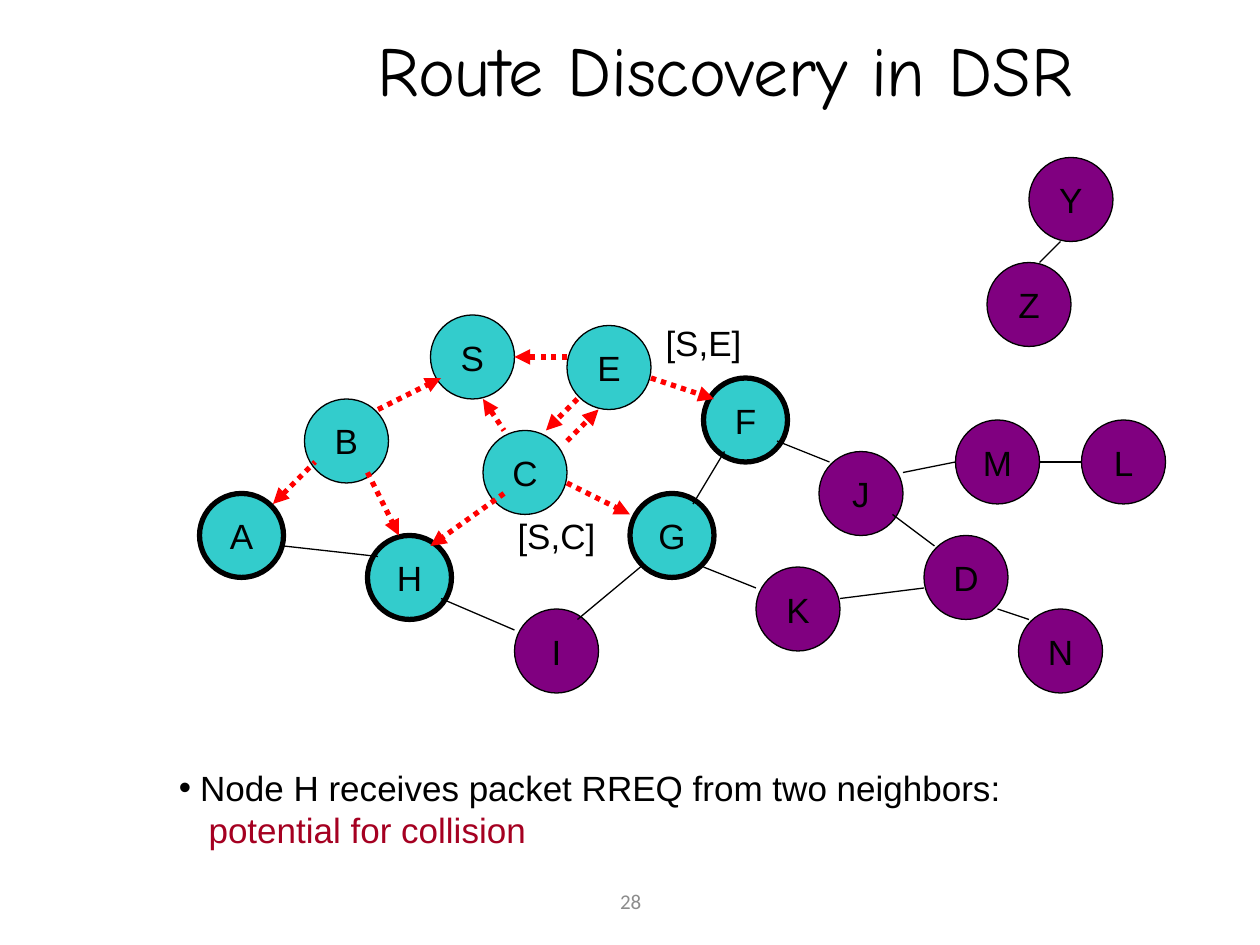
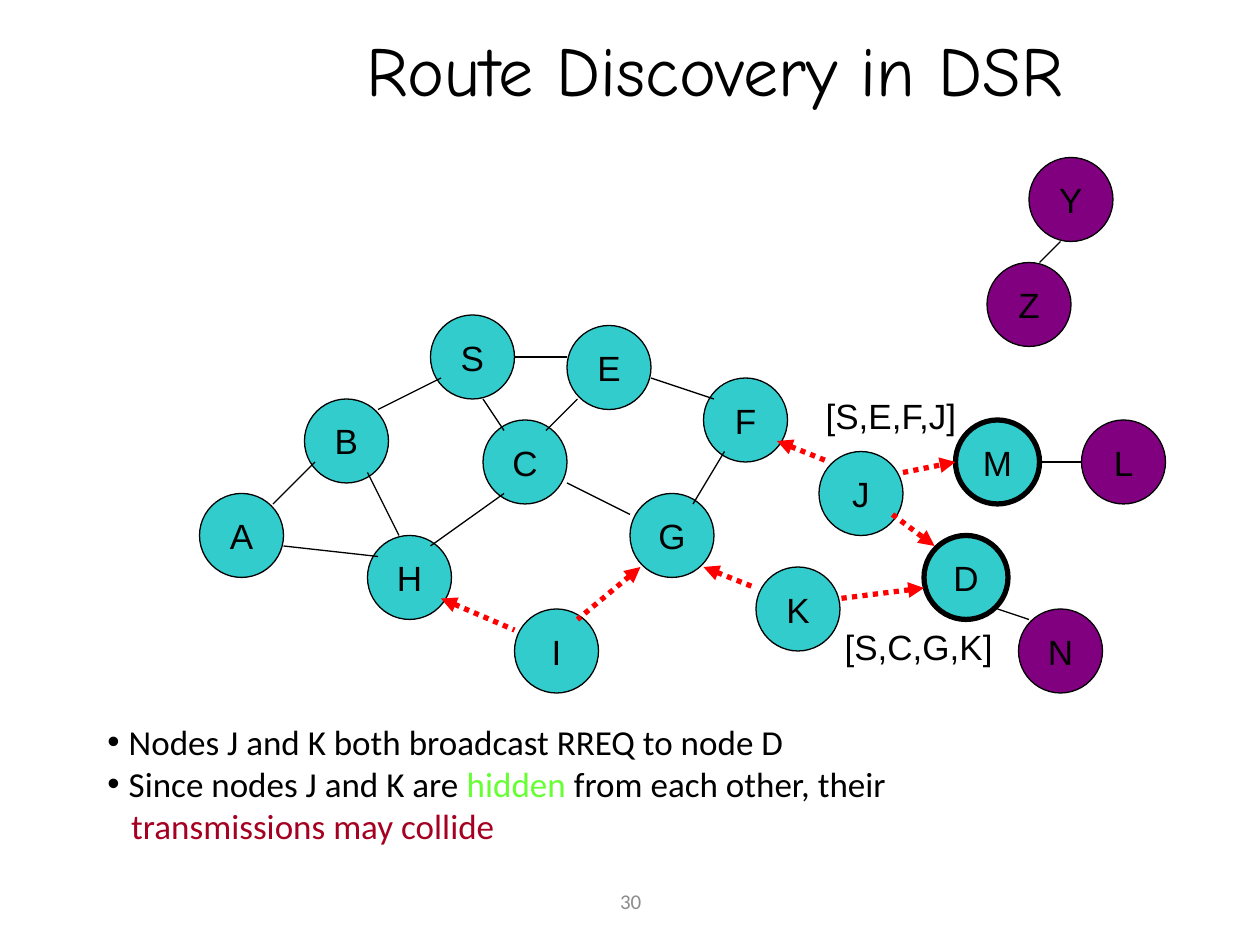
from pptx import Presentation
from pptx.dml.color import RGBColor
from pptx.enum.dml import MSO_LINE
from pptx.enum.shapes import MSO_CONNECTOR, MSO_SHAPE
from pptx.enum.text import MSO_ANCHOR, MSO_AUTO_SIZE, PP_ALIGN
from pptx.oxml.ns import qn
from pptx.util import Cm, Pt
from lxml.etree import SubElement

STEP = 2.54 / 12
BLACK, RED, WINE, LIME = "000000", "FF0000", "A50021", "66FF33"
TEAL, PURPLE, GRAY = "33CCCC", "800080", "8C8C8C"
tint = RGBColor.from_string


def grid(*steps):
    return [Cm(n * STEP) for n in steps]


def write(shape, text, font="Arial", size=20, color=BLACK, align=PP_ALIGN.CENTER, wrap=False):
    frame = shape.text_frame
    frame.word_wrap = wrap
    frame.auto_size = MSO_AUTO_SIZE.NONE
    frame.vertical_anchor = MSO_ANCHOR.MIDDLE
    rows = [[(text, color)]] if isinstance(text, str) else text
    for i, row in enumerate(rows):
        para = frame.add_paragraph() if i else frame.paragraphs[0]
        para.alignment = align
        para.space_before = Pt(0)
        for words, shade in row:
            run = para.add_run()
            run.text = words
            run.font.name = font
            run.font.size = Pt(size)
            run.font.color.rgb = tint(shade)


nodes = {
    "B": (29, 38), "A": (19, 47), "S": (41, 30), "E": (54, 31), "F": (67, 36),
    "H": (35, 51), "J": (78, 43), "D": (88, 51), "C": (46, 41), "G": (60, 47),
    "I": (49, 58), "K": (72, 54), "Z": (94, 25), "Y": (98, 15), "M": (91, 40),
    "N": (97, 58), "L": (103, 40),
}
links = {
    "AB": (26, 48, 30, 44), "BS": (36, 39, 42, 36), "AH": (27, 52, 36, 53),
    "BH": (35, 45, 38, 51), "CH": (48, 47, 41, 52), "EC": (55, 38, 52, 41),
    "EF": (62, 36, 68, 38), "FG": (69, 43, 66, 48), "GI": (61, 54, 55, 59),
    "CG": (54, 46, 60, 49), "HI": (42, 57, 49, 60), "FJ": (74, 42, 79, 44),
    "GK": (67, 54, 72, 56), "JD": (85, 49, 89, 52), "DK": (88, 56, 80, 57),
    "ES": (54, 34, 49, 34), "SC": (46, 38, 48, 41), "CE": (54, 42, 57, 39),
    "YZ": (101, 23, 99, 25), "JM": (86, 45, 91, 44), "DN": (95, 58, 98, 59),
    "ML": (99, 44, 103, 44),
}
pages = [
    dict(
        page="28", left=5.54, reached="SBECAFHG", bold="AFHG", moved={}, skip="",
        sends="BS BH BA CH CG CS CE EC EF ES".split(),
        tags=[("[S,E]", 62, 30, 10), ("[S,C]", 48, 48.4, 10)],
        box=(3.35, 15.32, 18.11, 1.96), font="Arial", hang=0.43, inset=0.6,
        rows=[
            [("Node H receives packet RREQ from two neighbors:", BLACK)],
            [("potential for collision", WINE)],
        ],
    ),
    dict(
        page="30", left=5.33, reached="SBECAFHGJDIKM", bold="DM", moved={"C": (46, 40)}, skip="CE",
        sends="IG IH JF JD JM KG KD".split(),
        tags=[("[S,C,G,K]", 79, 59, 17), ("[S,E,F,J]", 77, 37, 15.7)],
        box=(1.91, 14.4, 20.22, 2.79), font="Calibri", hang=0.43, inset=0.48,
        rows=[
            [("Nodes J and K both broadcast RREQ to node D", BLACK)],
            [("Since nodes J and K are ", BLACK), ("hidden ", LIME),
             ("from each other, their", BLACK)],
            [("transmissions may collide", WINE)],
        ],
    ),
]

deck = Presentation()
deck.slide_width, deck.slide_height = Cm(25.4), Cm(19.05)

for data in pages:
    slide = deck.slides.add_slide(deck.slide_layouts[1])
    shapes = slide.shapes
    title, body = shapes.title, slide.placeholders[1]

    title.left, title.top, title.width, title.height = map(Cm, (data["left"], -0.2, 18.16, 3.18))
    write(title, "Route Discovery in DSR", font="Comic Neue", size=40, wrap=True)

    body.left, body.top, body.width, body.height = map(Cm, data["box"])
    write(body, data["rows"], font=data["font"], align=PP_ALIGN.LEFT, wrap=True)
    paras = body.text_frame.paragraphs
    for para in paras:
        props = para._p.get_or_add_pPr()
        last = para._p is paras[-1]._p
        props.set("marL", str(Cm(data["inset"] if last else data["hang"])))
        props.set("indent", str(0 if last else -Cm(data["hang"])))
        if last:
            SubElement(props, qn("a:buNone"))
        else:
            SubElement(props, qn("a:buFont")).set("typeface", "Arial")
            SubElement(props, qn("a:buChar")).set("char", "•")

    for name, spot in (nodes | data["moved"]).items():
        node = shapes.add_shape(MSO_SHAPE.OVAL, *grid(*spot, 8, 8))
        node.shadow.inherit = False
        node.fill.solid()
        node.fill.fore_color.rgb = tint(TEAL if name in data["reached"] else PURPLE)
        node.line.color.rgb = tint(BLACK)
        node.line.width = Pt(3 if name in data["bold"] else 0.75)
        write(node, name)

    for pair, ends in links.items():
        if pair == data["skip"]:
            continue
        link = shapes.add_connector(MSO_CONNECTOR.STRAIGHT, *grid(*ends))
        ahead = pair in data["sends"]
        sent = ahead or pair[::-1] in data["sends"]
        link.line.color.rgb = tint(RED if sent else BLACK)
        link.line.width = Pt(3 if sent else 0.75)
        if sent:
            link.line.dash_style = MSO_LINE.ROUND_DOT
            tip = "a:tailEnd" if ahead else "a:headEnd"
            SubElement(link.line._get_or_add_ln(), qn(tip)).set("type", "triangle")
        SubElement(link._element.spPr, qn("a:effectLst"))

    for text, left, top, width in data["tags"]:
        write(shapes.add_textbox(*grid(left, top, width, 5.2)), text)

    foot = shapes.add_textbox(Cm(8.69), Cm(17.65), Cm(8.05), Cm(1.02))
    write(foot, data["page"], font="Calibri", size=12, color=GRAY)

deck.save("out.pptx")
